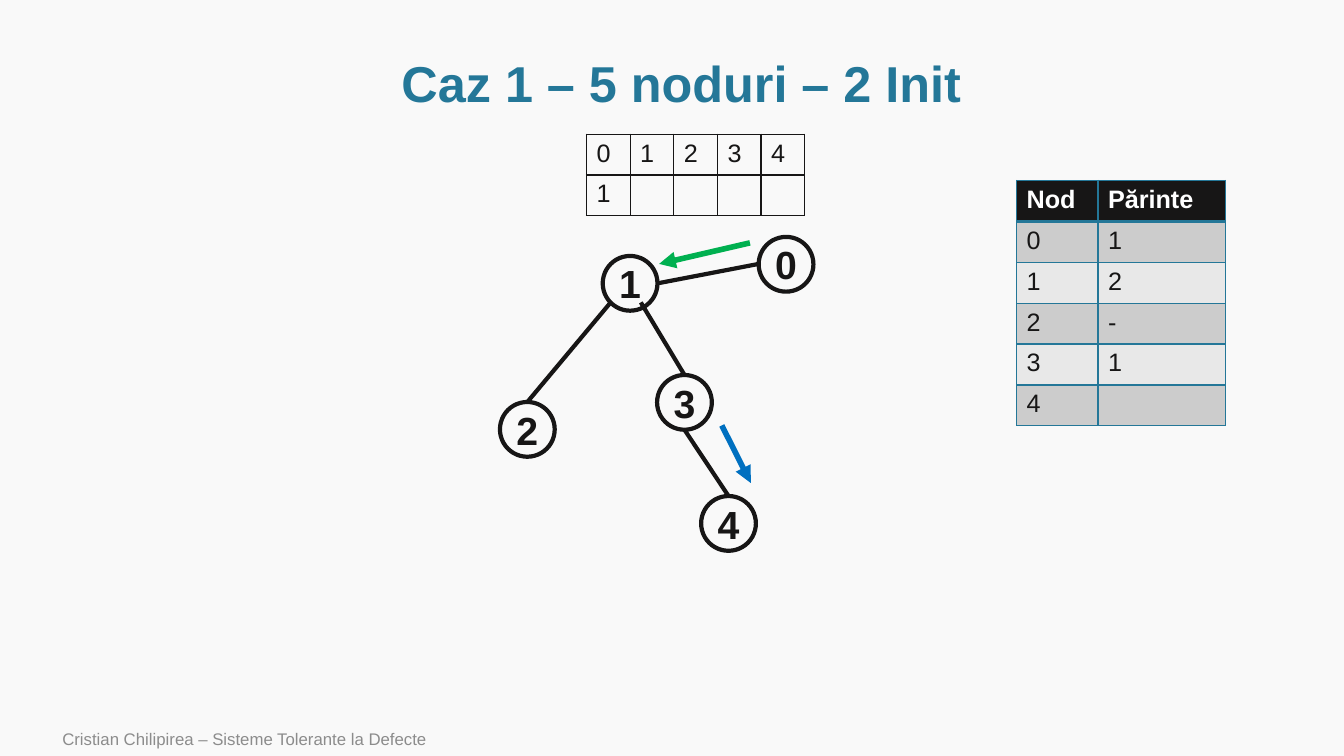
from lxml import etree
from pptx import Presentation
from pptx.dml.color import RGBColor
from pptx.enum import shapes, text
from pptx.oxml import ns
from pptx.util import Cm, Pt

HUES = {
    "back": "F9F9F9", "ink": "171616", "teal": "247798", "gray": "8C8C8C",
    "white": "FFFFFF", "dark": "CCCCCC", "light": "E8E8E8",
    "blue": "0070C0", "green": "00B050",
}
MID = text.MSO_ANCHOR.MIDDLE
CENTER = text.PP_ALIGN.CENTER


def style(frame, words, size, hue, bold=False, align=None):
    frame.text = words
    par = frame.paragraphs[0]
    par.alignment = align
    par.font.name = "Arial"
    par.font.size = Pt(size)
    par.font.bold = bold
    par.font.color.rgb = RGBColor.from_string(HUES[hue])
    return par


def grid(x, y, widths, rows, hue, fills, head=False):
    """Add a table with ruled cells; a head row gets a thick rule below it."""
    high = Cm(1.03)
    table = slide.shapes.add_table(
        len(rows), len(widths), Cm(x), Cm(y), Cm(sum(widths)), high * len(rows)
    ).table
    table.first_row = head
    table.horz_banding = False
    for col, width in zip(table.columns, widths):
        col.width = Cm(width)
    for r, row in enumerate(rows):
        table.rows[r].height = high
        top = head and r == 0
        for c, words in enumerate(row):
            cell = table.cell(r, c)
            style(cell.text_frame, words, 18, "white" if top else "ink", top)
            props = cell._tc.get_or_add_tcPr()
            for side in "LRTB":
                thick = head and (r, side) in ((0, "B"), (1, "T"))
                rule = etree.SubElement(props, ns.qn("a:ln" + side),
                                        w=str(Pt(3 if thick else 1)))
                paint = etree.SubElement(rule, ns.qn("a:solidFill"))
                etree.SubElement(paint, ns.qn("a:srgbClr"), val=HUES[hue])
            if fills:
                cell.fill.solid()
                tone = "ink" if top else fills[r % 2]
                cell.fill.fore_color.rgb = RGBColor.from_string(HUES[tone])
            else:
                cell.fill.background()


deck = Presentation()
deck.slide_width, deck.slide_height = Cm(33.87), Cm(19.05)
slide = deck.slides.add_slide(deck.slide_layouts[6])
slide.background.fill.solid()
slide.background.fill.fore_color.rgb = RGBColor.from_string(HUES["back"])

# Title and footer
labels = [
    (1.32, 18.19, 21.34, 0.86, "Cristian Chilipirea – Sisteme Tolerante la Defecte",
     12, "gray", False, None),
    (2.57, 1.3, 29.21, 1.75, "Caz 1 – 5 noduri – 2 Init", 36, "teal", True, CENTER),
]
for x, y, wide, high, *look in labels:
    frame = slide.shapes.add_textbox(Cm(x), Cm(y), Cm(wide), Cm(high)).text_frame
    frame.word_wrap = True
    frame.vertical_anchor = MID
    par = style(frame, *look)
    if look[-1] == CENTER:
        par.line_spacing = 0.9

# Nodes of the tree
nodes = {"1": (15.19, 6.45), "2": (12.6, 10.13), "3": (16.56, 9.45),
         "4": (17.67, 12.5), "0": (19.12, 5.97)}
for name, (x, y) in nodes.items():
    node = slide.shapes.add_shape(
        shapes.MSO_SHAPE.OVAL, Cm(x), Cm(y), Cm(1.38), Cm(1.38))
    node.shadow.inherit = False
    node.fill.background()
    node.line.color.rgb = RGBColor.from_string(HUES["ink"])
    node.line.width = Pt(3)
    node.text_frame.word_wrap = False
    node.text_frame.vertical_anchor = MID
    style(node.text_frame, name, 28, "ink", True, CENTER)

# Edges in ink, messages as coloured arrows
links = [
    (13.29, 10.13, 15.39, 7.62, "ink"),
    (18.36, 12.5, 17.25, 10.83, "ink"),
    (17.25, 9.45, 16.15, 7.62, "ink"),
    (19.12, 6.65, 16.57, 7.14, "ink"),
    (18.19, 10.72, 18.92, 12.17, "blue"),
    (18.9, 6.12, 16.61, 6.65, "green"),
]
for x1, y1, x2, y2, hue in links:
    link = slide.shapes.add_connector(
        shapes.MSO_CONNECTOR.STRAIGHT, Cm(x1), Cm(y1), Cm(x2), Cm(y2))
    link.line.color.rgb = RGBColor.from_string(HUES[hue])
    link.line.width = Pt(3 if hue == "ink" else 4)
    if hue != "ink":
        etree.SubElement(link.line._ln, ns.qn("a:tailEnd"), type="triangle")
    etree.SubElement(link._element.spPr, ns.qn("a:effectLst"))

# Parent table and message vector
parents = [("Nod", "Părinte"), ("0", "1"), ("1", "2"), ("2", "-"), ("3", "1"), ("4", "")]
grid(25.62, 4.55, [2.05, 3.22], parents, "teal", ("light", "dark"), head=True)
grid(14.78, 3.38, [1.1] * 5, ["01234", ["1", "", "", "", ""]], "ink", None)

deck.save("out.pptx")
